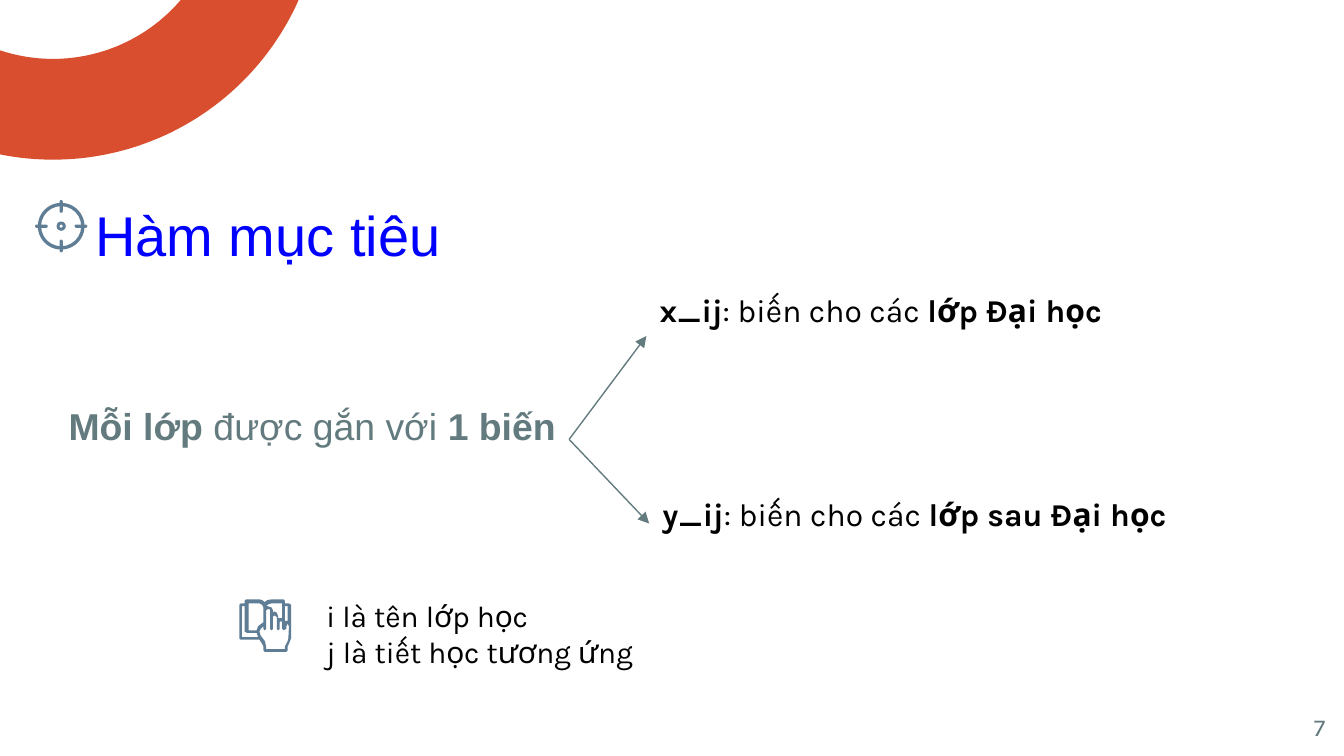
from dataclasses import dataclass
from math import cos, radians, sin

from lxml import etree
from pptx import Presentation
from pptx.dml.color import RGBColor
from pptx.enum.shapes import MSO_CONNECTOR, MSO_SHAPE
from pptx.enum.text import MSO_ANCHOR, MSO_AUTO_SIZE, PP_ALIGN
from pptx.oxml.ns import qn
from pptx.util import Pt

DONUT, TICK = MSO_SHAPE.DONUT, MSO_SHAPE.ROUNDED_RECTANGLE
STRAIGHT = MSO_CONNECTOR.STRAIGHT
TOP, MIDDLE = MSO_ANCHOR.TOP, MSO_ANCHOR.MIDDLE
LEFT, RIGHT = PP_ALIGN.LEFT, PP_ALIGN.RIGHT
FIXED_SIZE = MSO_AUTO_SIZE.NONE
LEFT_SIDE, RIGHT_SIDE = 1, 3
TITLE_ONLY = 5


@dataclass(frozen=True)
class Theme:
    orange: str = "D84E2E"
    blue: str = "0000FF"
    slate: str = "637B7F"
    icon: str = "5F7D95"
    black: str = "000000"
    heading_font: str = "Arial"
    body_font: str = "Karla"
    title_size: int = 30
    lead_size: int = 20
    variable_size: int = 17
    legend_size: int = 16
    number_size: int = 13


class SlideBuilder:
    def __init__(self, page, theme):
        self.page, self.theme = page, theme

    def set_lines(self, box, lines, font, size, color, align=LEFT, anchor=TOP, spacing=None):
        """Fill a box with lines, each a list of (text, bold) spans."""
        frame = box.text_frame
        frame.word_wrap = True
        frame.auto_size = FIXED_SIZE
        frame.vertical_anchor = anchor
        frame.margin_left = frame.margin_right = Pt(7.2)
        frame.margin_top = frame.margin_bottom = Pt(7.2)
        for index, spans in enumerate(lines):
            para = frame.add_paragraph() if index else frame.paragraphs[0]
            para.alignment = align
            if spacing:
                para.line_spacing = spacing
            for text, bold in spans:
                span = para.add_run()
                span.text = text
                span.font.name, span.font.size = font, Pt(size)
                span.font.bold = bold
                span.font.color.rgb = RGBColor.from_string(color)
        return box

    def title(self, area, text):
        box = self.page.shapes.title
        box.left, box.top, box.width, box.height = map(Pt, area)
        theme = self.theme
        self.set_lines(box, [[(text, False)]], theme.heading_font, theme.title_size,
                       theme.blue, RIGHT, spacing=1.1)

    def text(self, area, lines, font, size, color, **layout):
        box = self.page.shapes.add_textbox(*map(Pt, area))
        return self.set_lines(box, lines, font, size, color, **layout)

    def paint(self, shape, color):
        shape.shadow.inherit = False
        shape.fill.solid()
        shape.fill.fore_color.rgb = RGBColor.from_string(color)
        shape.line.fill.background()

    def preset(self, kind, center_x, center_y, width, height, adjustment, color):
        shape = self.page.shapes.add_shape(
            kind, Pt(center_x - width / 2), Pt(center_y - height / 2), Pt(width), Pt(height))
        shape.adjustments[0] = adjustment
        self.paint(shape, color)

    def outline(self, contours, left, top, color):
        """Draw closed contours in points from (left, top); inner ones become holes."""
        builder = None
        for contour in contours:
            points = [(x * 100, y * 100) for x, y in contour]
            if builder is None:
                builder = self.page.shapes.build_freeform(*points[0], scale=Pt(1) / 100)
            else:
                builder.move_to(*points[0])
            builder.add_line_segments(points[1:], close=True)
        self.paint(builder.convert_to_shape(Pt(left), Pt(top)), color)

    def arrow(self, source, target):
        connector = self.page.shapes.add_connector(STRAIGHT, 0, 0, 0, 0)
        connector.begin_connect(source, RIGHT_SIDE)
        connector.end_connect(target, LEFT_SIDE)
        connector.line.width = Pt(0.75)
        connector.line.color.rgb = RGBColor.from_string(self.theme.slate)
        stroke = connector.get_or_add_ln()
        etree.SubElement(stroke, qn("a:tailEnd"), type="triangle")
        etree.SubElement(stroke.getparent(), qn("a:effectLst"))

    def ring_segment(self, center_x, center_y, outer, inner, start, end):
        def arc(radius, angles):
            return [(radius * cos(radians(a)), radius * sin(radians(a))) for a in angles]

        angles = range(start, end + 1)
        points = arc(outer, angles) + arc(inner, reversed(angles))
        self.outline([points], center_x, center_y, self.theme.orange)

    def target_icon(self, center_x, center_y):
        color = self.theme.icon
        for diameter, band in ((25, 0.07), (5, 0.33)):
            self.preset(DONUT, center_x, center_y, diameter, diameter, band, color)
        reach, length, width = 10.6, 6.8, 1.7
        for side in (-1, 1):
            self.preset(TICK, center_x + side * reach, center_y, length, width, 0.5, color)
            self.preset(TICK, center_x, center_y + side * reach, width, length, 0.5, color)

    def book_icon(self, left, top):
        cell = 0.72
        contours = [[(x * cell, y * cell) for x, y in contour] for contour in BOOK_AND_HAND]
        self.outline(contours, left, top, self.theme.icon)


# Silhouette, right page, page edge, left page, cover, hand
BOOK_AND_HAND = [
    [(5, 0), (4, 1), (4, 3), (1, 3), (0, 4), (0, 29), (1, 30), (15, 30), (17, 33), (18, 35),
     (18, 38), (19, 39), (35, 39), (36, 38), (36, 35), (37, 33), (38.5, 29), (38.5, 4),
     (37, 3), (34, 3), (34, 1), (33, 0), (24, 0), (21, 0.5), (19, 2), (17, 0.5), (15, 0)],
    [(32, 3), (32, 14), (29, 14), (29, 13), (28, 10), (26, 9), (25, 10), (25, 8), (24, 6),
     (21, 5), (20, 5), (22, 3.5), (24, 3)],
    [(36, 5), (36, 16), (34, 16), (34, 5)],
    [(15, 3), (17, 4), (18, 6), (18, 17), (14, 20), (13, 23), (7, 23), (7, 3)],
    [(4, 5), (4, 24), (6, 25), (13, 25), (14, 28), (2, 28), (2, 5)],
    [(22, 7), (23, 8), (23, 22), (24, 23), (25, 22), (25, 13), (26, 12), (28, 13), (28, 22),
     (29, 23), (30, 22), (30, 17), (31, 16), (32, 17), (32, 22), (33, 23), (35, 22), (35, 20),
     (36, 18), (37, 20), (36.5, 29), (36, 31), (34, 35), (34, 37), (20, 37), (20, 35),
     (19, 31), (16, 27), (15, 24), (16, 22), (18, 20), (18, 22), (19, 23), (20, 22), (20, 8)],
]


def main():
    deck = Presentation()
    deck.slide_width, deck.slide_height = Pt(720), Pt(405)
    page = deck.slides.add_slide(deck.slide_layouts[TITLE_ONLY])
    theme = Theme()
    slide = SlideBuilder(page, theme)

    slide.ring_segment(28.4, -58.4, 144, 90, 24, 113)
    slide.title((-131.8, 96.5, 375.1, 45.4), "Hàm mục tiêu")
    lead = slide.text(
        (-21.6, 206.6, 326.5, 57.6),
        [[("Mỗi lớp", True), (" được gắn với ", False), ("1 biến", True)]],
        theme.heading_font, theme.lead_size, theme.slate, align=RIGHT, spacing=1.1)

    variables = (
        ("x_ij", "lớp Đại học", (346.3, 148.3, 334.1, 63.4)),
        ("y_ij", "lớp sau Đại học", (347.8, 257.8, 334.1, 45.4)),
    )
    for name, group, area in variables:
        box = slide.text(
            area, [[(name, True), (": biến cho các ", False), (group, True)]],
            theme.body_font, theme.variable_size, theme.black)
        slide.arrow(lead, box)

    slide.book_icon(128.2, 321.1)
    slide.text(
        (167.8, 313.2, 209.5, 54.7),
        [[("i là tên lớp học", False)], [("j là tiết học tương ứng", False)]],
        theme.body_font, theme.legend_size, theme.black)
    slide.target_icon(32.8, 121.2)
    slide.text((673.9, 373.7, 43.2, 31), [[("7", False)]], theme.body_font,
               theme.number_size, theme.slate, align=RIGHT, anchor=MIDDLE)

    deck.save("out.pptx")


if __name__ == "__main__":
    main()
